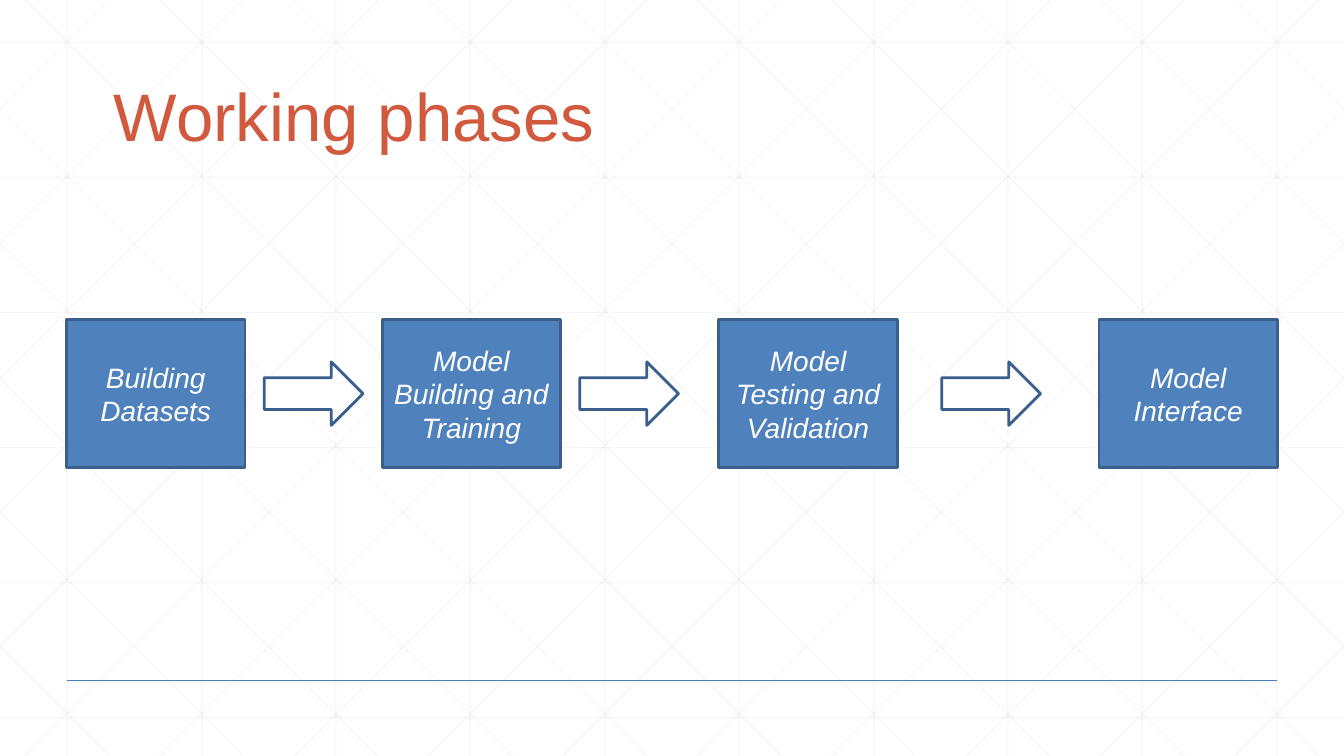
from dataclasses import dataclass

from lxml.etree import SubElement
from pptx import Presentation
from pptx.dml.color import RGBColor
from pptx.enum.shapes import MSO_CONNECTOR, MSO_SHAPE
from pptx.enum.text import MSO_ANCHOR, MSO_AUTO_SIZE, PP_ALIGN
from pptx.oxml.ns import qn
from pptx.util import Inches, Pt


@dataclass(frozen=True)
class Theme:
    """Colours, font and sizes of the slide."""
    font: str = "Arial"
    title: RGBColor = RGBColor.from_string("D15A3E")
    box: RGBColor = RGBColor.from_string("4F81BD")
    outline: RGBColor = RGBColor.from_string("3A5F8C")
    rule: RGBColor = RGBColor.from_string("4B7EBC")
    grid: RGBColor = RGBColor.from_string("D9D9D9")
    white: RGBColor = RGBColor.from_string("FFFFFF")
    title_size: int = 48
    phase_size: int = 20
    outline_width: int = 2
    rule_width: int = 1
    grid_width: float = 0.75
    grid_opacity: int = 25


THEME = Theme()
WIDTH, HEIGHT = 13.33, 7.5
COLUMN = WIDTH / 10
ROW = 1.34
FIRST_ROW = 0.42
TITLE_BOX = (1.03, 0.35, 10.5, 1.25)
FLOW_BOX = (0.66, 3.17, 12.01, 1.47)
PHASE_WIDTH = 1.77
ARROW_WIDTH, ARROW_HEIGHT = 0.98, 0.63
PHASES = [
    ("Building Datasets", 0),
    ("Model Building and Training", 3.13),
    ("Model Testing and Validation", 6.47),
    ("Model Interface", 10.24),
]
ARROW_OFFSETS = (1.96, 5.09, 8.68)


def add_line(slide, start, end, color, width, opacity=100):
    """Draw a straight line without a shadow."""
    points = [Inches(value) for value in (*start, *end)]
    line = slide.shapes.add_connector(MSO_CONNECTOR.STRAIGHT, *points)
    line.line.color.rgb = color
    line.line.width = Pt(width)
    properties = line._element.spPr
    SubElement(properties, qn("a:effectLst"))
    if opacity < 100:
        fill_color = next(properties.iter(qn("a:srgbClr")))
        SubElement(fill_color, qn("a:alpha")).set("val", str(opacity * 1000))


def add_background(slide, width, height):
    """Draw the faint square grid and its mirrored diagonals."""
    segments = []
    for column in range(10):
        x = (column + 0.5) * COLUMN
        segments.append(((x, 0), (x, height)))
    for row in range(6):
        y = FIRST_ROW + row * ROW
        segments.append(((0, y), (width, y)))
    for step in range(-5, 10):
        x = 0.25 + step * COLUMN
        top = max(0, -x)
        bottom = min(height, width - x)
        start, end = (x + top, top), (x + bottom, bottom)
        segments.append((start, end))
        segments.append(((width - start[0], top), (width - end[0], bottom)))
    for start, end in segments:
        add_line(slide, start, end, THEME.grid, THEME.grid_width, THEME.grid_opacity)


def add_title(slide, box, text):
    """Place and format the title placeholder above the background."""
    title = slide.shapes.title
    slide.shapes._spTree.append(title._element)
    title.left, title.top, title.width, title.height = map(Inches, box)
    frame = title.text_frame
    frame.text = text
    frame.auto_size = MSO_AUTO_SIZE.NONE
    frame.vertical_anchor = MSO_ANCHOR.BOTTOM
    paragraph = frame.paragraphs[0]
    paragraph.alignment = PP_ALIGN.LEFT
    paragraph.line_spacing = 0.9
    paragraph.font.name = THEME.font
    paragraph.font.size = Pt(THEME.title_size)
    paragraph.font.color.rgb = THEME.title


def add_outlined_shape(slide, kind, box, fill):
    """Add a filled preset shape with the common outline."""
    shape = slide.shapes.add_shape(kind, *map(Inches, box))
    shape.shadow.inherit = False
    shape.fill.solid()
    shape.fill.fore_color.rgb = fill
    shape.line.color.rgb = THEME.outline
    shape.line.width = Pt(THEME.outline_width)
    return shape


def add_flow(slide, box):
    """Place the phases and the arrows between them."""
    left, top, _, height = box
    for text, offset in PHASES:
        phase_box = (left + offset, top, PHASE_WIDTH, height)
        shape = add_outlined_shape(slide, MSO_SHAPE.RECTANGLE, phase_box, THEME.box)
        frame = shape.text_frame
        frame.word_wrap = True
        frame.vertical_anchor = MSO_ANCHOR.MIDDLE
        frame.text = text
        paragraph = frame.paragraphs[0]
        paragraph.alignment = PP_ALIGN.CENTER
        paragraph.font.name = THEME.font
        paragraph.font.size = Pt(THEME.phase_size)
        paragraph.font.italic = True
        paragraph.font.color.rgb = THEME.white
    arrow_top = top + (height - ARROW_HEIGHT) / 2
    for offset in ARROW_OFFSETS:
        arrow_box = (left + offset, arrow_top, ARROW_WIDTH, ARROW_HEIGHT)
        add_outlined_shape(slide, MSO_SHAPE.RIGHT_ARROW, arrow_box, THEME.white)


def main():
    """Build the slide and save it."""
    presentation = Presentation()
    presentation.slide_width = Inches(WIDTH)
    presentation.slide_height = Inches(HEIGHT)
    slide = presentation.slides.add_slide(presentation.slide_layouts[5])
    add_background(slide, WIDTH, HEIGHT)
    rule_top = 0.9 * HEIGHT
    add_line(slide, (COLUMN / 2, rule_top), (WIDTH - COLUMN / 2, rule_top),
             THEME.rule, THEME.rule_width)
    add_title(slide, TITLE_BOX, "Working phases")
    add_flow(slide, FLOW_BOX)
    presentation.save("out.pptx")


if __name__ == "__main__":
    main()
